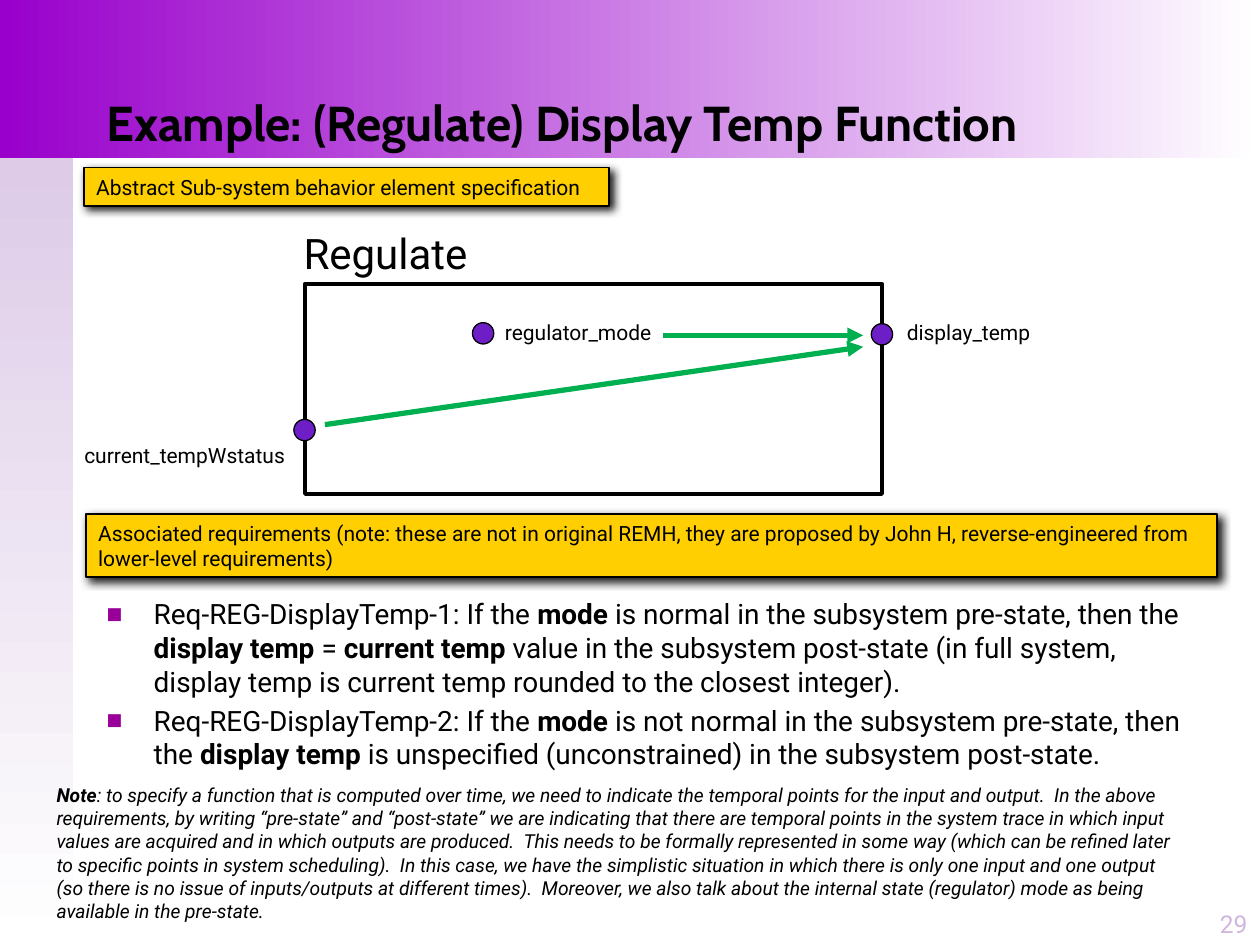
from lxml.etree import SubElement
from pptx import Presentation
from pptx.dml.color import RGBColor
from pptx.enum.shapes import MSO_CONNECTOR as Connector, MSO_SHAPE as Shape
from pptx.enum.text import MSO_ANCHOR as Anchor, PP_ALIGN as Align
from pptx.oxml.ns import qn
from pptx.util import Cm, Pt

BLACK = RGBColor(0x00, 0x00, 0x00)
WHITE = RGBColor(0xFF, 0xFF, 0xFF)
PURPLE = RGBColor(0x99, 0x00, 0xCC)
LILAC = RGBColor(0xDD, 0xCB, 0xE7)
PALE_LILAC = RGBColor(0xD0, 0xB6, 0xDE)
VIOLET = RGBColor(0x6E, 0x1E, 0xC6)
YELLOW = RGBColor(0xFF, 0xCF, 0x01)
GREEN = RGBColor(0x00, 0xB0, 0x50)
BULLET = RGBColor(0x99, 0x00, 0x99)
SHADOW = RGBColor(0x1C, 0x1C, 0x1C)

REQUIREMENTS = [
    "Req-REG-DisplayTemp-1: If the **mode** is normal in the subsystem "
    "pre-state, then the **display temp **= **current temp **value in the "
    "subsystem post-state (in full system, display temp is current temp "
    "rounded to the closest integer).",
    "Req-REG-DisplayTemp-2: If the **mode** is not normal in the subsystem "
    "pre-state, then the **display temp **is unspecified (unconstrained) in "
    "the subsystem post-state.",
]
NOTE = (
    "**Note**: to specify a function that is computed over time, we need to "
    "indicate the temporal points for the input and output.  In the above "
    "requirements, by writing “pre-state” and “post-state” we are indicating "
    "that there are temporal points in the system trace in which input values "
    "are acquired and in which outputs are produced.  This needs to be "
    "formally represented in some way (which can be refined later to specific "
    "points in system scheduling).  In this case, we have the simplistic "
    "situation in which there is only one input and one output (so there is "
    "no issue of inputs/outputs at different times).  Moreover, we also talk "
    "about the internal state (regulator) mode as being available in the "
    "pre-state."
)


class SlideBuilder:
    body_font = "Roboto"
    title_font = "Cabin"
    dot_size = 0.43

    def __init__(self, deck):
        self.page = deck.slides.add_slide(deck.slide_layouts[6])

    def add_paragraphs(self, frame, texts, color=BLACK, align=Align.LEFT, **font):
        values = {"name": self.body_font, "size": Pt(12), **font}
        for index, text in enumerate(texts):
            para = frame.paragraphs[0] if index == 0 else frame.add_paragraph()
            para.alignment = align
            for order, piece in enumerate(text.split("**")):
                if not piece:
                    continue
                span = para.add_run()
                span.text = piece
                span.font.color.rgb = color
                for name, value in {"bold": order % 2 == 1, **values}.items():
                    setattr(span.font, name, value)

    def text(self, area, *texts, wrap=True, anchor=Anchor.TOP, **style):
        box = self.page.shapes.add_textbox(*map(Cm, area))
        frame = box.text_frame
        frame.word_wrap = wrap
        frame.vertical_anchor = anchor
        self.add_paragraphs(frame, texts, **style)
        return frame

    def shape(self, kind, area, fill=None, line=None):
        shape = self.page.shapes.add_shape(kind, *map(Cm, area))
        shape.shadow.inherit = False
        if fill is None:
            shape.fill.background()
        else:
            shape.fill.solid()
            shape.fill.fore_color.rgb = fill
        if line is None:
            shape.line.fill.background()
        else:
            shape.line.color.rgb = BLACK
            shape.line.width = Pt(line)
        return shape

    def fade(self, area, color, angle):
        band = self.shape(Shape.RECTANGLE, area)
        band.fill.gradient()
        band.fill.gradient_angle = angle
        for stop, shade in zip(band.fill.gradient_stops, (color, WHITE)):
            stop.color.rgb = shade

    def dot(self, x, y):
        size = self.dot_size
        area = (x - size / 2, y - size / 2, size, size)
        self.shape(Shape.OVAL, area, VIOLET, 0.75)

    def banner(self, area, text):
        bar = self.shape(Shape.RECTANGLE, area, YELLOW, 1)
        effects = bar.element.spPr.find(qn("a:effectLst"))
        shadow = SubElement(effects, qn("a:outerShdw"), blurRad=str(Pt(5)),
                            dist=str(Pt(2.8)), dir=str(45 * 60000),
                            algn="tl", rotWithShape="0")
        SubElement(shadow, qn("a:srgbClr"), val=str(SHADOW))
        frame = bar.text_frame
        frame.word_wrap = True
        frame.vertical_anchor = Anchor.MIDDLE
        self.add_paragraphs(frame, [text])

    def arrow(self, start, end):
        arrow = self.page.shapes.add_connector(
            Connector.STRAIGHT, *map(Cm, start + end))
        arrow.line.color.rgb = GREEN
        arrow.line.width = Pt(3)
        props = arrow.element.spPr
        SubElement(props.find(qn("a:ln")), qn("a:tailEnd"), type="triangle")
        SubElement(props, qn("a:effectLst"))

    def bullets(self, area, items, size):
        frame = self.text(area, *items, size=Pt(size))
        for para in frame.paragraphs:
            para.space_before = Pt(size * 0.2)
            props = para._p.get_or_add_pPr()
            props.set("marL", str(Cm(0.95)))
            props.set("indent", str(-Cm(0.95)))
            color = SubElement(props, qn("a:buClr"))
            SubElement(color, qn("a:srgbClr"), val=str(BULLET))
            SubElement(props, qn("a:buSzPct"), val="60000")
            SubElement(props, qn("a:buFont"), typeface=self.body_font)
            SubElement(props, qn("a:buChar"), char="■")


def main():
    deck = Presentation()
    deck.slide_width, deck.slide_height = Cm(25.4), Cm(19.05)
    slide = SlideBuilder(deck)

    slide.fade((0, 3.17, 1.48, 15.88), LILAC, 270)
    slide.fade((0, 0, 25.4, 3.18), PURPLE, 0)
    slide.text((1.9, 0, 22.66, 3.18), "Example: (Regulate) Display Temp Function",
               anchor=Anchor.BOTTOM, name=slide.title_font, size=Pt(28), bold=True)
    slide.text((24.13, 17.78, 1.27, 1.27), "29", anchor=Anchor.BOTTOM,
               align=Align.RIGHT, color=PALE_LILAC, size=Pt(14))

    slide.shape(Shape.RECTANGLE, (6.15, 5.72, 11.63, 4.24), line=2.25)
    for center in [(17.78, 6.74), (6.14, 8.67), (9.74, 6.72)]:
        slide.dot(*center)
    slide.banner((1.69, 3.38, 10.59, 0.77),
                 "Abstract Sub-system behavior element specification")

    slide.text((5.87, 4.47, 3.81, 1.28), "Regulate", wrap=False, size=Pt(24))
    for label, left, top, width in [
        ("regulator_mode", 9.93, 6.32, 3.51),
        ("current_tempWstatus", 1.45, 8.79, 4.6),
        ("display_temp", 18.03, 6.32, 3),
    ]:
        slide.text((left, top, width, 0.77), label, wrap=False)
    slide.arrow((6.55, 8.56), (17.4, 6.99))
    slide.arrow((13.36, 6.76), (17.4, 6.76))

    slide.banner((1.73, 10.36, 22.81, 1.28),
                 "Associated requirements (note: these are not in original REMH, "
                 "they are proposed by John H, reverse-engineered from "
                 "lower-level requirements)")
    slide.bullets((1.9, 11.91, 22.66, 5.87), REQUIREMENTS, 16)
    slide.text((0.89, 15.67, 23.29, 3.07), NOTE, size=Pt(11), italic=True)

    deck.save("out.pptx")


if __name__ == "__main__":
    main()
